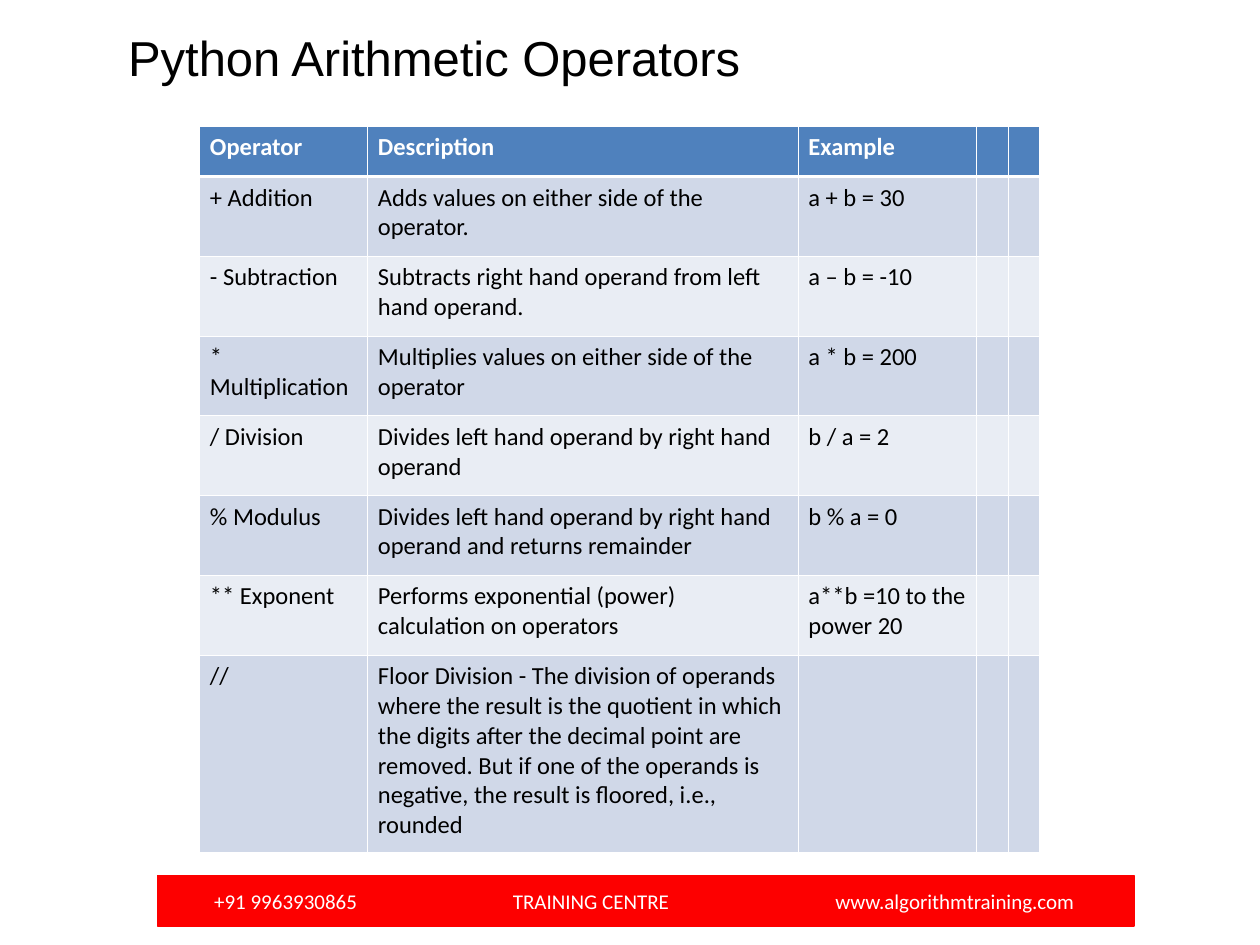
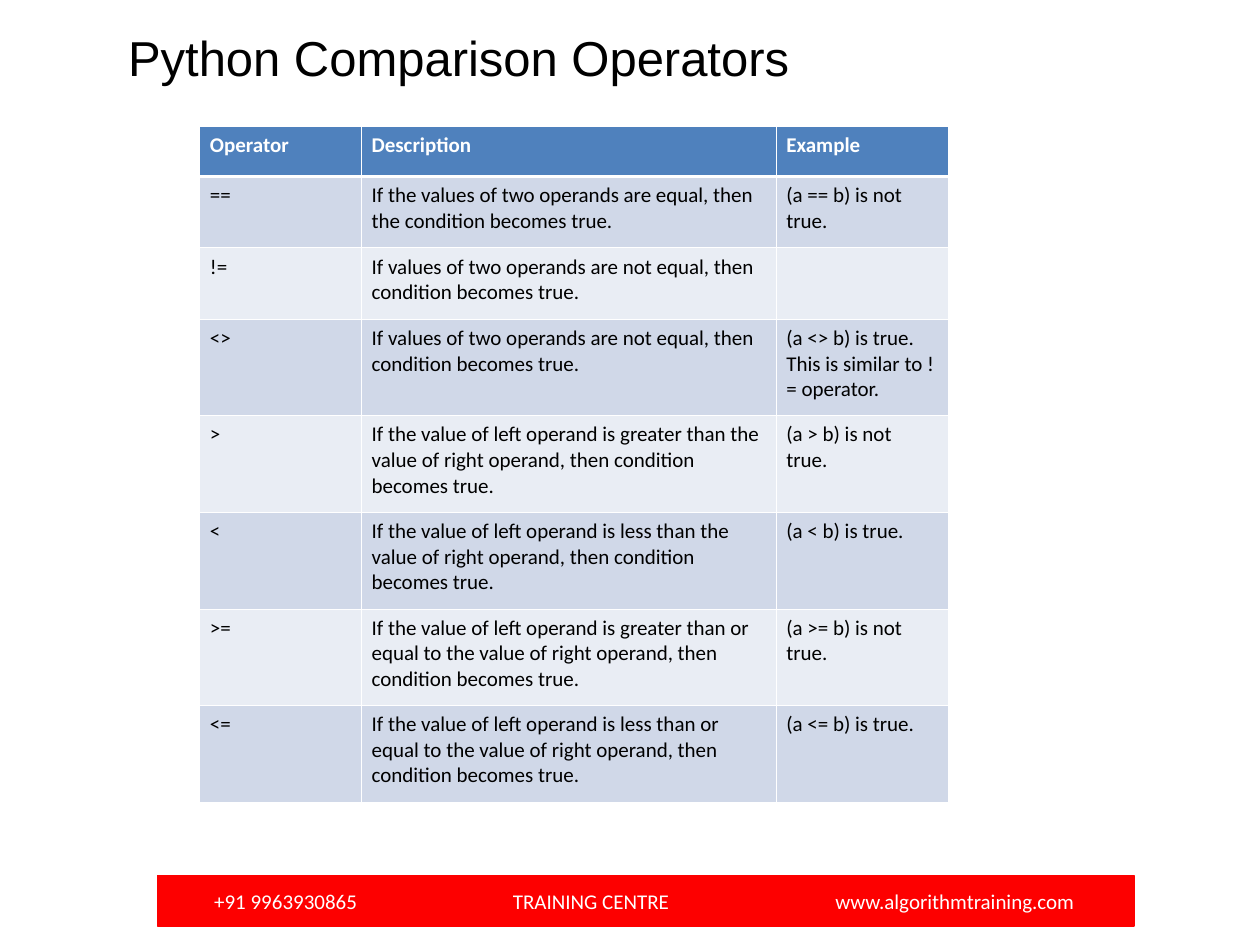
import lxml.etree
import pptx
import pptx.dml.color
import pptx.enum.shapes
import pptx.enum.text
import pptx.oxml.ns
import pptx.util

COLORS = {
    "text": "000000",
    "white": "FFFFFF",
    "footer": "FD0000",
    "header": "4F81BD",
    "band_dark": "D0D8E8",
    "band_light": "E9EDF4",
}
GRID_COLS = 120
GRID_ROWS = 90
HEADINGS = ["Operator", "Description", "Example"]
CONTACTS = ["+91 9963930865", "TRAINING CENTRE", "www.algorithmtraining.com"]
CONTACT_TABS = [2.37, 4.93]
THIN, THICK = 0.45, 1.47

ARITHMETIC = [
    ["+ Addition", "Adds values on either side of the operator.", "a + b = 30"],
    ["- Subtraction", "Subtracts right hand operand from left hand operand.", "a – b = -10"],
    ["* Multiplication", "Multiplies values on either side of the operator", "a * b = 200"],
    ["/ Division", "Divides left hand operand by right hand operand", "b / a = 2"],
    ["% Modulus", "Divides left hand operand by right hand operand and returns remainder", "b % a = 0"],
    ["** Exponent", "Performs exponential (power) calculation on operators", "a**b =10 to the power 20"],
    ["//", "Floor Division - The division of operands where the result is the quotient in which "
           "the digits after the decimal point are removed. But if one of the operands is negative, "
           "the result is floored, i.e., rounded", ""],
]

UNEQUAL = "If values of two operands are not equal, then condition becomes true."
COMPARE = "If the value of left operand is {} the value of right operand, then condition becomes true."
COMPARISON = [
    ["==", "If the values of two operands are equal, then the condition becomes true.", "(a == b) is not true."],
    ["!=", UNEQUAL, ""],
    ["<>", UNEQUAL, "(a <> b) is true. This is similar to != operator."],
    [">", COMPARE.format("greater than"), "(a > b) is not true."],
    ["<", COMPARE.format("less than"), "(a < b) is true."],
    [">=", COMPARE.format("greater than or equal to"), "(a >= b) is not true."],
    ["<=", COMPARE.format("less than or equal to"), "(a <= b) is true."],
]


def rgb(name):
    return pptx.dml.color.RGBColor.from_string(COLORS[name])


def add_element(parent, tag, **attrs):
    return lxml.etree.SubElement(parent, pptx.oxml.ns.qn(tag), attrs)


class Deck:
    def __init__(self):
        self.prs = pptx.Presentation()
        self.prs.slide_width = pptx.util.Inches(10)
        self.prs.slide_height = pptx.util.Inches(7.5)
        self.s = None

    def x(self, cols):
        return round(self.prs.slide_width * cols / GRID_COLS)

    def y(self, rows):
        return round(self.prs.slide_height * rows / GRID_ROWS)

    def box(self, left, top, width, height):
        return self.x(left), self.y(top), self.x(width), self.y(height)

    def style(self, p, font, size, color, bold=False):
        for r in p.runs:
            r.font.name = font
            r.font.size = pptx.util.Pt(size)
            r.font.bold = bold
            r.font.color.rgb = rgb(color)
        if not p.runs:
            add_element(p._p, "a:endParaRPr", sz=str(size * 100))

    def slide(self, title):
        self.s = self.prs.slides.add_slide(self.prs.slide_layouts[5])
        self.title(title)
        self.footer()

    def title(self, text):
        sp = self.s.shapes.title
        sp.left, sp.top, sp.width, sp.height = self.box(11, 2, 90, 6.8)
        tf = sp.text_frame
        tf.text = text
        tf.word_wrap = True
        tf.auto_size = pptx.enum.text.MSO_AUTO_SIZE.NONE
        tf.vertical_anchor = pptx.enum.text.MSO_ANCHOR.TOP
        p = tf.paragraphs[0]
        p.alignment = pptx.enum.text.PP_ALIGN.LEFT
        self.style(p, "Arial", 28, "text")

    def footer(self):
        sp = self.s.shapes.add_shape(
            pptx.enum.shapes.MSO_SHAPE.RECTANGLE, *self.box(15, 83.4, 93, 4.8))
        sp.shadow.inherit = False
        sp.fill.solid()
        sp.fill.fore_color.rgb = rgb("footer")
        sp.line.color.rgb = rgb("footer")
        sp.line.width = pptx.util.Pt(0.75)
        tf = sp.text_frame
        tf.margin_left = pptx.util.Inches(0.45)
        tf.vertical_anchor = pptx.enum.text.MSO_ANCHOR.MIDDLE
        tf.text = "\t".join(CONTACTS)
        p = tf.paragraphs[0]
        p.alignment = pptx.enum.text.PP_ALIGN.LEFT
        tabs = add_element(p._p.get_or_add_pPr(), "a:tabLst")
        for stop in CONTACT_TABS:
            add_element(tabs, "a:tab", pos=str(pptx.util.Inches(stop)), algn="l")
        self.style(p, "Calibri", 12, "white")

    def borders(self, cell, top, bottom):
        tc_pr = cell._tc.get_or_add_tcPr()
        sides = {"L": THIN, "R": THIN, "T": top, "B": bottom}
        for i, (side, width) in enumerate(sides.items()):
            ln = add_element(tc_pr, f"a:ln{side}", w=str(pptx.util.Pt(width)))
            fill = add_element(ln, "a:solidFill")
            add_element(fill, "a:srgbClr", val=COLORS["white"])
            tc_pr.insert(i, ln)

    def cell(self, cell, text, row, size):
        header = row == 0
        band = "header" if header else "band_dark" if row % 2 else "band_light"
        cell.fill.solid()
        cell.fill.fore_color.rgb = rgb(band)
        cell.margin_left = cell.margin_right = pptx.util.Pt(6)
        cell.text_frame.text = text
        self.style(cell.text_frame.paragraphs[0], "Calibri", size,
                   "white" if header else "text", header)
        self.borders(cell, THICK if row == 1 else THIN, THICK if header else THIN)

    def table(self, records, widths, heights, size):
        frame = self.s.shapes.add_table(
            len(heights), len(widths), *self.box(19, 12, sum(widths), sum(heights)))
        table = frame.table
        for column, width in zip(table.columns, widths):
            column.width = self.x(width)
        for i, (height, record) in enumerate(zip(heights, [HEADINGS] + records)):
            table.rows[i].height = self.y(height)
            padded = record + [""] * (len(widths) - len(record))
            for j, text in enumerate(padded):
                self.cell(table.cell(i, j), text, i, size)


def main():
    deck = Deck()
    deck.slide("Python Arithmetic Operators")
    deck.table(ARITHMETIC, [16, 41, 17, 3, 3], [4.8] + [7.6] * 6 + [18.8], 14)
    deck.slide("Python Comparison Operators")
    deck.table(COMPARISON, [15.4, 39.5, 16.4], [4.8] + [6.8] * 2 + [9.2] * 5, 12)
    deck.prs.save("out.pptx")


if __name__ == "__main__":
    main()
